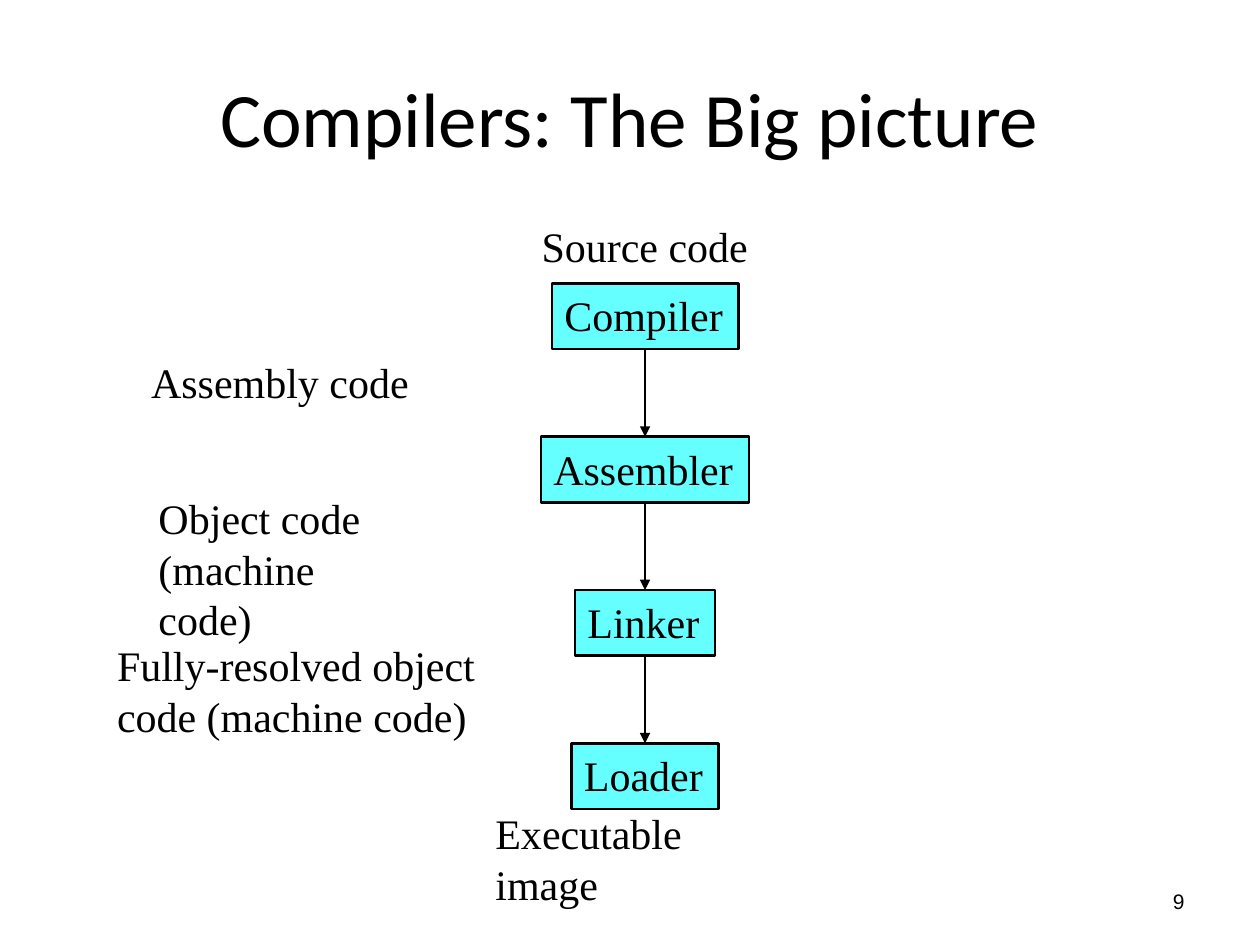
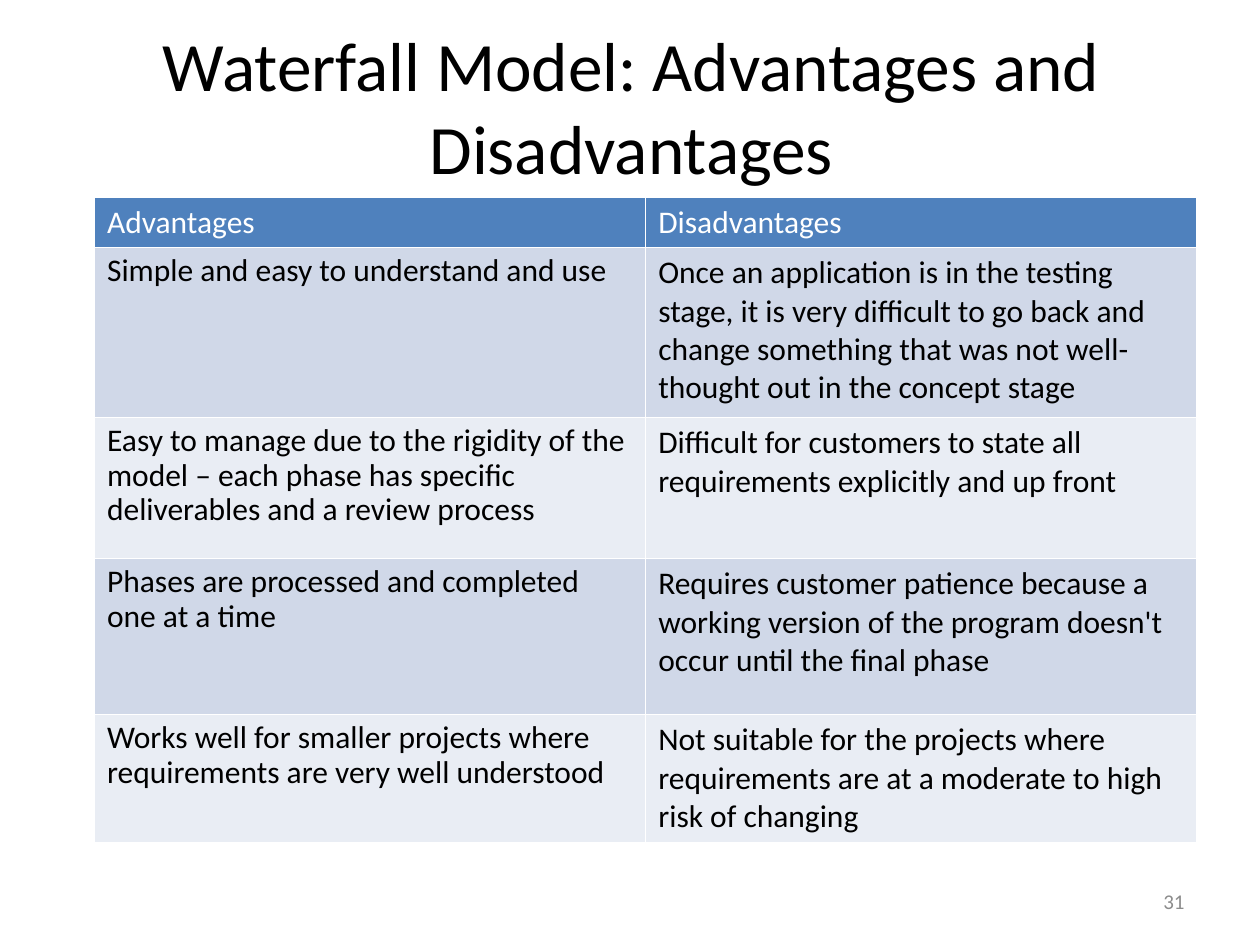
from lxml.etree import SubElement
from pptx import Presentation
from pptx.dml.color import RGBColor
from pptx.enum.shapes import MSO_CONNECTOR, MSO_SHAPE
from pptx.enum.text import MSO_ANCHOR, PP_ALIGN
from pptx.oxml.ns import qn
from pptx.util import Pt

COLORS = {
    "ink": "000000", "white": "FFFFFF", "step": "66FFFF", "gray": "8C8C8C",
    "head": "4F81BD", "odd": "D0D8E8", "even": "E9EDF4",
}
SANS, SERIF = "Calibri", "Times New Roman"

# Steps of the tool chain: name, box width
STEPS = [("Compiler", 106.5), ("Assembler", 119), ("Linker", 80), ("Loader", 84)]
MID, TOP, PITCH, TALL = 368.6, 162, 87.6, 37.5

# Code forms: text, left, top, width, height, wrap
FORMS = [
    ("Source code", 302.4, 122.4, 132.5, 36, False),
    ("Assembly code", 79.2, 200.4, 162, 36, False),
    ("Object code\n(machine code)", 83.5, 278, 162.7, 65, False),
    ("Fully-resolved object\ncode (machine code)", 59.8, 362, 219, 65, False),
    ("Executable image", 276, 458, 180, 65, True),
]

PAIRS = [
    ("Advantages", "Disadvantages"),
    ("Simple and easy to understand and use",
     "Once an application is in the testing stage, it is very difficult to go back "
     "and change something that was not well-thought out in the concept stage"),
    ("Easy to manage due to the rigidity of the model – each phase has specific "
     "deliverables and a review process",
     "Difficult for customers to state all requirements explicitly and up front"),
    ("Phases are processed and completed one at a time",
     "Requires customer patience because a working version of the program doesn't "
     "occur until the final phase"),
    ("Works well for smaller projects where requirements are very well understood",
     "Not suitable for the projects where requirements are at a moderate to high "
     "risk of changing"),
]
ROWS = [28.4, 97.2, 80.6, 89.2, 73.4]


def color(name):
    return RGBColor.from_string(COLORS[name])


def write(frame, text, size, font, ink="ink", align=PP_ALIGN.LEFT):
    frame.text = text
    for para in frame.paragraphs:
        para.alignment = align
        for run in para.runs:
            run.font.size = Pt(size)
            run.font.name = font
            run.font.bold = False
            run.font.color.rgb = color(ink)


def label(slide, text, box, size, font, wrap=False, **style):
    frame = slide.shapes.add_textbox(*map(Pt, box)).text_frame
    frame.word_wrap = wrap
    write(frame, text, size, font, **style)
    return frame


def start(deck, title, box, size, page, font, ink):
    """Add a slide with its title and page number."""
    slide = deck.slides.add_slide(deck.slide_layouts[5])
    head = slide.shapes.title
    head.left, head.top, head.width, head.height = map(Pt, box)
    head.text_frame.vertical_anchor = MSO_ANCHOR.MIDDLE
    write(head.text_frame, title, size, SANS, align=PP_ALIGN.CENTER)
    foot = label(slide, page, (516, 500.5, 168, 28.8), 12, font, True,
                 ink=ink, align=PP_ALIGN.RIGHT)
    foot.vertical_anchor = MSO_ANCHOR.MIDDLE
    return slide


def step(slide, name, top, width):
    box = slide.shapes.add_shape(MSO_SHAPE.RECTANGLE, Pt(MID - width / 2), Pt(top),
                                 Pt(width), Pt(TALL))
    box.shadow.inherit = False
    box.fill.solid()
    box.fill.fore_color.rgb = color("step")
    box.line.color.rgb = color("ink")
    box.line.width = Pt(1.5)
    box.text_frame.word_wrap = False
    box.text_frame.vertical_anchor = MSO_ANCHOR.TOP
    write(box.text_frame, name, 24, SERIF)
    return box


def arrow(slide, above, below):
    link = slide.shapes.add_connector(MSO_CONNECTOR.STRAIGHT, 0, 0, 0, 0)
    link.begin_connect(above, 2)
    link.end_connect(below, 0)
    link.line.color.rgb = color("ink")
    link.line.width = Pt(1.5)
    SubElement(link.line._get_or_add_ln(), qn("a:tailEnd"), type="triangle")
    SubElement(link._element.spPr, qn("a:effectLst"))


def chain(deck):
    slide = start(deck, "Compilers: The Big picture", (36, 21.6, 648, 90), 44,
                  "9", "Arial", "ink")
    for text, *box, wrap in FORMS:
        label(slide, text, box, 24, SERIF, wrap)
    boxes = [step(slide, name, TOP + i * PITCH, width)
             for i, (name, width) in enumerate(STEPS)]
    for above, below in zip(boxes, boxes[1:]):
        arrow(slide, above, below)


def compare(deck):
    slide = start(deck, "Waterfall Model: Advantages and Disadvantages",
                  (36.7, 15, 648, 90), 39.6, "31", SANS, "gray")
    grid = slide.shapes.add_table(len(PAIRS), 2, Pt(54), Pt(112.5), Pt(630),
                                  Pt(sum(ROWS))).table
    for r, (pair, height) in enumerate(zip(PAIRS, ROWS)):
        grid.rows[r].height = Pt(height)
        fill = "head" if r == 0 else "odd" if r % 2 else "even"
        for c, text in enumerate(pair):
            cell = grid.cell(r, c)
            cell.fill.solid()
            cell.fill.fore_color.rgb = color(fill)
            write(cell.text_frame, text, 18, SANS, "ink" if r else "white")
            if r and c == 0:
                para = cell.text_frame.paragraphs[0]
                para.line_spacing = 0.9
                para.space_before = Pt(7)


def main():
    deck = Presentation()
    deck.slide_width, deck.slide_height = Pt(720), Pt(540)
    chain(deck)
    compare(deck)
    deck.save("out.pptx")


if __name__ == "__main__":
    main()
